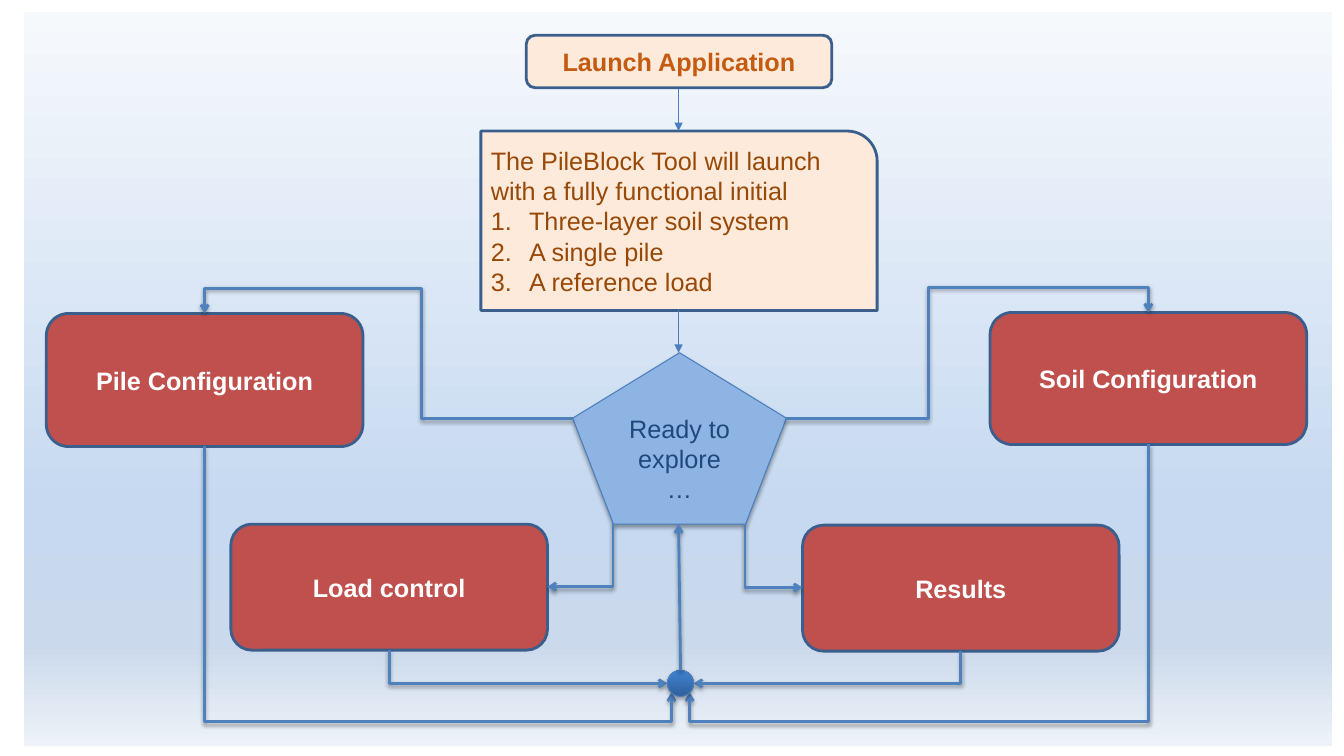
import pptx
import pptx.util
import pptx.dml.color
import pptx.enum.shapes
import pptx.enum.text
import pptx.oxml
import pptx.oxml.ns

Inches, Pt = pptx.util.Inches, pptx.util.Pt
RGB = pptx.dml.color.RGBColor
SHAPE = pptx.enum.shapes.MSO_SHAPE
CONNECTOR = pptx.enum.shapes.MSO_CONNECTOR
ALIGN = pptx.enum.text.PP_ALIGN
qn = pptx.oxml.ns.qn

CREAM = RGB(0xFD, 0xEA, 0xDA)
RED = RGB(0xC0, 0x50, 0x4D)
SKY = RGB(0x8E, 0xB4, 0xE3)
BORDER = RGB(0x3A, 0x5F, 0x8C)
THIN_BLUE = RGB(0x4B, 0x7E, 0xBC)
ARROW_BLUE = RGB(0x4F, 0x81, 0xBD)
ORANGE = RGB(0xC5, 0x5A, 0x11)
BROWN = RGB(0x98, 0x48, 0x07)
NAVY = RGB(0x1F, 0x49, 0x7D)
WHITE = RGB(0xFF, 0xFF, 0xFF)

BACKDROP = [(0, "F6F9FC"), (68, "C6D9F1"), (86, "CAD9EB"), (100, "EDF2F8")]
HUB_SHADES = [(0, "2F5F99"), (80, "3D7CC7"), (100, "3A7CCB")]

INTRO = "The PileBlock Tool will launch with a fully functional initial"
INITIAL_ITEMS = ["Three-layer soil system", "A single pile", "A reference load"]

STEP_WIDTH = 3.14
STEPS = [  # label, left, top, height
    ("Soil Configuration", 9.82, 3.1, 1.31),
    ("Pile Configuration", 0.46, 3.11, 1.32),
    ("Load control", 2.29, 5.2, 1.25),
    ("Results", 7.96, 5.21, 1.25),
]
LAUNCH_ARROWS = [[(6.73, 0.88), (6.73, 1.3)], [(6.73, 3.08), (6.73, 3.5)]]
ROUTES = [  # corner points from start to arrowhead
    [(5.68, 4.15), (4.18, 4.15), (4.18, 2.86), (2.03, 2.86), (2.03, 3.11)],
    [(6.08, 5.2), (6.08, 5.82), (5.43, 5.82)],
    [(7.79, 4.15), (9.21, 4.15), (9.21, 2.85), (11.39, 2.85), (11.39, 3.1)],
    [(7.39, 5.2), (7.39, 5.83), (7.96, 5.83)],
    [(11.39, 4.41), (11.39, 7.16), (6.84, 7.16), (6.84, 6.87)],
    [(3.86, 6.45), (3.86, 6.78), (6.62, 6.78)],
    [(2.03, 4.43), (2.03, 7.16), (6.66, 7.16), (6.66, 6.87)],
    [(9.53, 6.46), (9.53, 6.78), (6.88, 6.78)],
]
RETURN_ARROW = [(6.75, 6.65), (6.73, 5.2)]


def sub(parent, tag, **attrs):
    """Append a DrawingML child with the given attributes."""
    child = parent.makeelement(qn(tag), {k: str(v) for k, v in attrs.items()})
    parent.append(child)
    return child


def add_shadow(effects, alpha, distance):
    """Add a soft downward black shadow to an effect list."""
    shadow = sub(effects, "a:outerShdw", blurRad=Pt(3.1), dist=Pt(distance),
                 dir=5400000, rotWithShape=0)
    sub(sub(shadow, "a:srgbClr", val="000000"), "a:alpha", val=alpha * 1000)


def add_box(kind, place, fill, line=None, width=2, shadow=False):
    """Add a preset shape; fill is a colour or a (stops, angle) gradient."""
    s = slide.shapes.add_shape(kind, *map(Inches, place))
    s.shadow.inherit = False
    if isinstance(fill, RGB):
        s.fill.solid()
        s.fill.fore_color.rgb = fill
    else:
        stops, angle = fill
        s.fill.gradient()
        s.fill.gradient_angle = angle
        stop_list = s.element.spPr.find(".//" + qn("a:gsLst"))
        for old in list(stop_list):
            stop_list.remove(old)
        for position, colour in stops:
            sub(sub(stop_list, "a:gs", pos=position * 1000), "a:srgbClr", val=colour)
    if line is None:
        s.line.fill.background()
    else:
        s.line.color.rgb = line
        s.line.width = Pt(width)
    if shadow:
        add_shadow(s.element.spPr.find(qn("a:effectLst")), 35, 1.8)
    return s


def write(s, lines, colour, bold=False, align=ALIGN.CENTER):
    """Write one paragraph per line, vertically centred."""
    tf = s.text_frame
    tf.word_wrap = True
    tf.vertical_anchor = pptx.enum.text.MSO_ANCHOR.MIDDLE
    for i, line in enumerate(lines):
        p = tf.paragraphs[0] if i == 0 else tf.add_paragraph()
        p.alignment = align
        r = p.add_run()
        r.text = line
        for name, value in {"name": "Arial", "size": Pt(18), "bold": bold}.items():
            setattr(r.font, name, value)
        r.font.color.rgb = colour
    return tf


def style_arrow(c, colour, width, head, shadow):
    """Set line, arrowhead and shadow of a connector."""
    c.line.color.rgb = colour
    c.line.width = Pt(width)
    sub(c.line._get_or_add_ln(), "a:tailEnd", type=head)
    effects = sub(c.element.spPr, "a:effectLst")
    if shadow:
        add_shadow(effects, 38, 1.6)


def add_straight(points, colour=ARROW_BLUE, width=2, head="arrow", shadow=True):
    """Add a straight arrow between two points."""
    (x1, y1), (x2, y2) = points
    c = slide.shapes.add_connector(CONNECTOR.STRAIGHT, *map(Inches, (x1, y1, x2, y2)))
    style_arrow(c, colour, width, head, shadow)


def add_route(points):
    """Add an elbow arrow through right-angled corner points."""
    (x1, y1), (x2, y2) = points[0], points[-1]
    dx, dy = x2 - x1, y2 - y1
    vertical = points[1][0] == x1
    c = slide.shapes.add_connector(CONNECTOR.ELBOW, *map(Inches, (x1, y1, x2, y2)))
    frame = c.element.spPr.find(qn("a:xfrm"))
    if vertical:  # the preset starts sideways, so turn it a quarter to start downwards
        c.left, c.top = Inches((x1 + x2 - dy) / 2), Inches((y1 + y2 - abs(dx)) / 2)
        c.width, c.height = Inches(dy), Inches(abs(dx))
        for name, value in {"rot": 5400000, "flipH": 0, "flipV": int(dx > 0)}.items():
            frame.set(name, str(value))
    geometry = c.element.spPr.find(qn("a:prstGeom"))
    geometry.set("prst", f"bentConnector{len(points) - 1}")
    guides = geometry.find(qn("a:avLst"))
    for i in range(len(points) - 3):
        axis = (i + vertical) % 2
        start, corner, end = points[0][axis], points[i + 1 + i % 2][axis], points[-1][axis]
        ratio = round((corner - start) / (end - start) * 100000)
        sub(guides, "a:gd", name=f"adj{i + 1}", fmla=f"val {ratio}")
    style_arrow(c, ARROW_BLUE, 2, "arrow", True)


prs = pptx.Presentation()
prs.slide_width, prs.slide_height = Inches(13.33), Inches(7.5)
slide = prs.slides.add_slide(prs.slide_layouts[6])

add_box(SHAPE.RECTANGLE, (0.24, 0.12, 12.97, 7.28), (BACKDROP, 270))
launch = add_box(SHAPE.ROUNDED_RECTANGLE, (5.22, 0.35, 3.03, 0.52), CREAM, BORDER)
write(launch, ["Launch Application"], ORANGE, bold=True)

initial = add_box(SHAPE.ROUND_1_RECTANGLE, (4.77, 1.3, 3.93, 1.78), CREAM, BORDER)
tf = write(initial, [INTRO] + INITIAL_ITEMS, BROWN, align=ALIGN.LEFT)
for p in tf.paragraphs[1:]:
    pPr = p._p.get_or_add_pPr()
    pPr.set("marL", str(Inches(0.38)))
    pPr.set("indent", str(-Inches(0.38)))
    sub(pPr, "a:buFont", typeface="+mj-lt")
    sub(pPr, "a:buAutoNum", type="arabicPeriod")

for arrow in LAUNCH_ARROWS:
    add_straight(arrow, THIN_BLUE, 0.75, "triangle", shadow=False)

ready = add_box(SHAPE.REGULAR_PENTAGON, (5.68, 3.5, 2.12, 1.7), SKY, THIN_BLUE, 0.75, True)
write(ready, ["Ready to explore …"], NAVY)

for label, left, top, height in STEPS:
    step = add_box(SHAPE.ROUNDED_RECTANGLE, (left, top, STEP_WIDTH, height), RED, BORDER)
    write(step, [label], WHITE, bold=True)

for route in ROUTES:
    add_route(route)

add_box(SHAPE.OVAL, (6.62, 6.65, 0.26, 0.26), (HUB_SHADES, 90), THIN_BLUE, 0.75, True)
add_straight(RETURN_ARROW)

prs.save("out.pptx")
